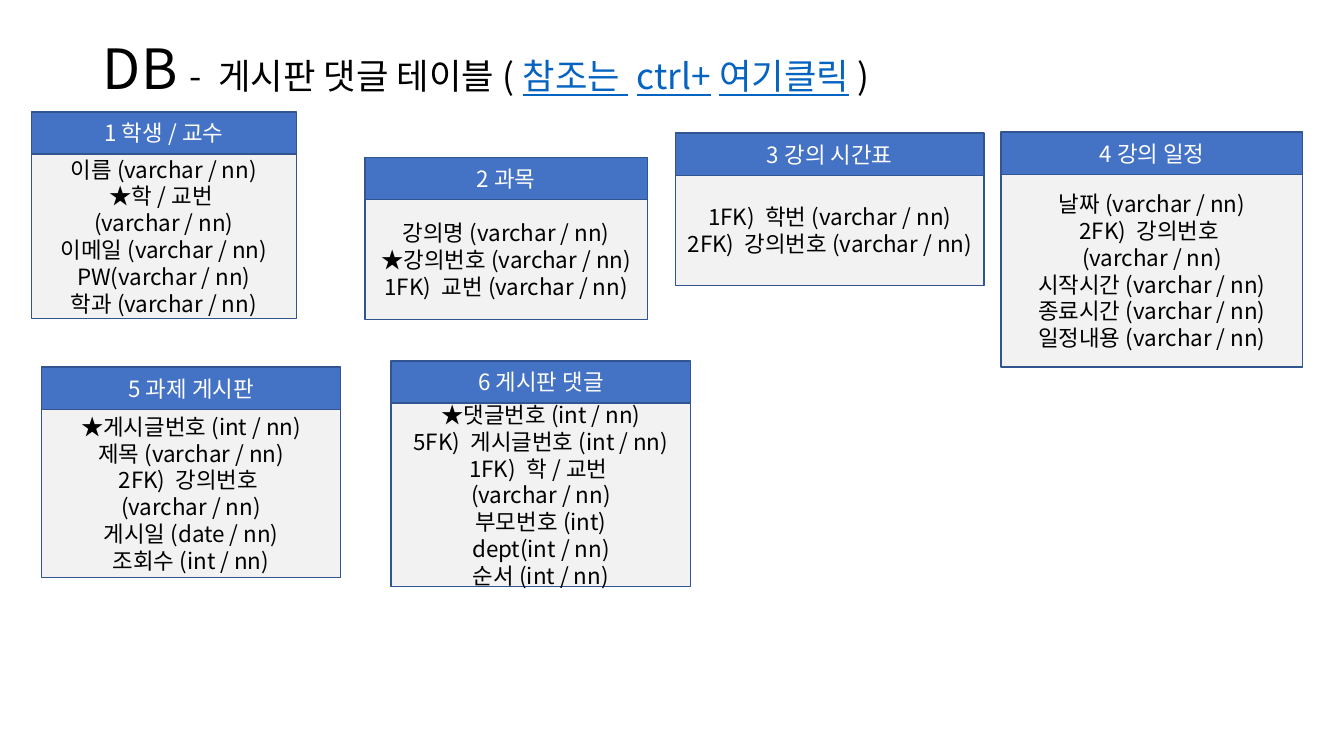
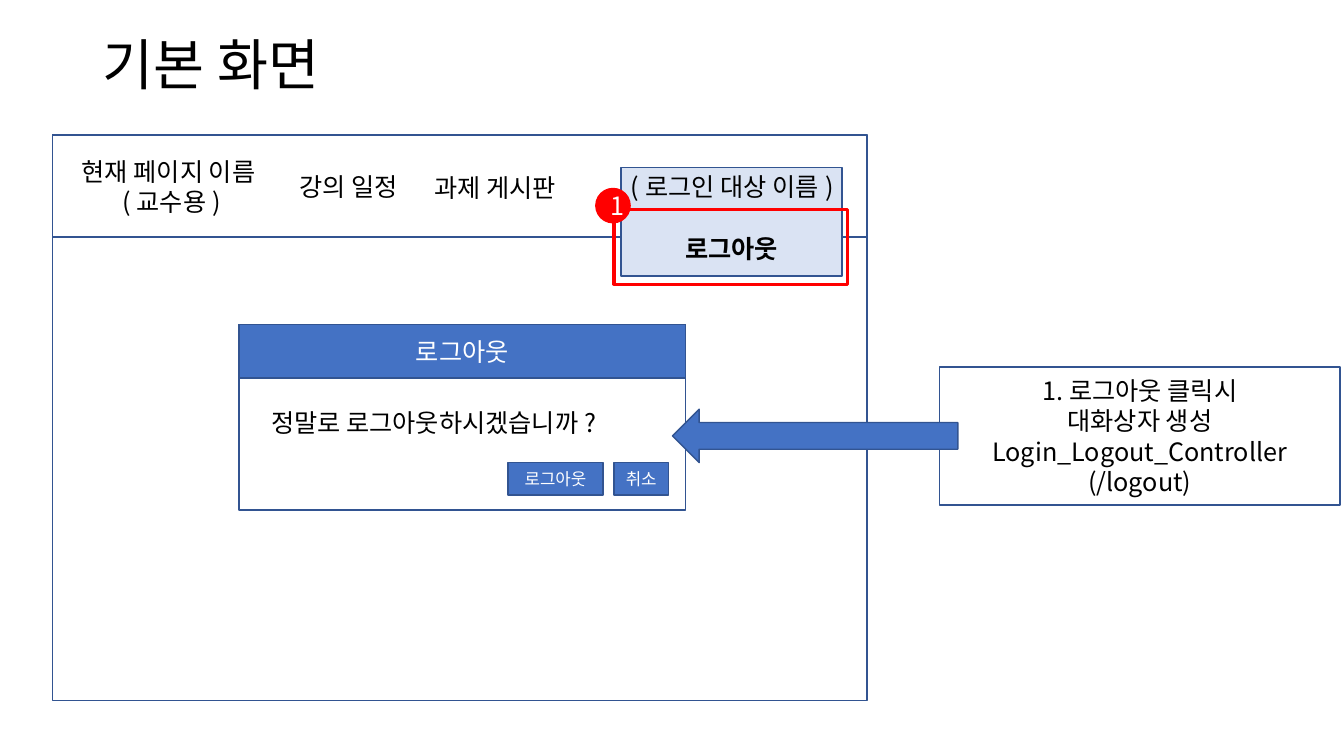
from pptx import Presentation
from pptx.dml.color import RGBColor
from pptx.enum.shapes import MSO_SHAPE
from pptx.enum.text import MSO_ANCHOR, MSO_AUTO_SIZE, PP_ALIGN
from pptx.oxml.ns import qn
from pptx.util import Inches, Pt
from lxml import etree

RECT, OVAL, ARROW = MSO_SHAPE.RECTANGLE, MSO_SHAPE.OVAL, MSO_SHAPE.LEFT_ARROW
TOP, MID, LOW = MSO_ANCHOR.TOP, MSO_ANCHOR.MIDDLE, MSO_ANCHOR.BOTTOM
LEFT, MIDST = PP_ALIGN.LEFT, PP_ALIGN.CENTER
FONT = "Noto Sans CJK KR"
HUE = dict(ink="000000", white="FFFFFF", blue="4472C4", edge="325491",
           gray="F2F2F2", pale="DAE3F3", red="FF0000", link="0563C1")
HEAD = 0.42
BIG, SUB = 39.6, 25.2

DB_TITLE = [("DB ", {}), ("- 게시판 댓글 테이블(", dict(size=SUB)),
            ("참조는 ctrl+여기클릭", dict(size=SUB, color="link", under=True)),
            (")", dict(size=SUB))]
# heading, (left, top, width, height), columns
TABLES = [
    ("1학생/교수", (0.31, 1.11, 2.63, 2.05),
     ["이름(varchar / nn)", "★학/교번(varchar / nn)", "이메일(varchar / nn)",
      "PW(varchar / nn)", "학과(varchar / nn)"]),
    ("2과목", (3.62, 1.56, 2.8, 1.61),
     ["강의명(varchar / nn)", "★강의번호(varchar / nn)",
      "1FK) 교번(varchar / nn)"]),
    ("3강의 시간표", (6.7, 1.32, 3.06, 1.51),
     ["1FK) 학번(varchar / nn)", "2FK) 강의번호(varchar / nn)"]),
    ("4강의 일정", (9.93, 1.31, 2.99, 2.33),
     ["날짜(varchar / nn)", "2FK) 강의번호(varchar / nn)",
      "시작시간(varchar / nn)", "종료시간(varchar / nn)",
      "일정내용(varchar / nn)"]),
    ("5과제 게시판", (0.41, 3.64, 2.97, 2.09),
     ["★게시글번호(int / nn)", "제목(varchar / nn)",
      "2FK) 강의번호(varchar / nn)", "게시일(date / nn)", "조회수(int / nn)"]),
    ("6게시판 댓글", (3.88, 3.58, 2.97, 2.24),
     ["★댓글번호(int / nn)", "5FK) 게시글번호(int / nn)",
      "1FK) 학/교번(varchar / nn)", "부모번호(int)", "dept(int / nn)",
      "순서(int / nn)"]),
]

PAGE = (0.52, 1.34, 8.08, 5.61)
BAR = PAGE[:3] + (1.01,)
MENU = [("현재 페이지 이름(교수용)", (0.59, 1.5, 2.22, 0.71), MIDST),
        ("강의 일정", (2.87, 1.65, 1.34, 0.4), LEFT),
        ("과제 게시판", (4.21, 1.66, 1.66, 0.4), LEFT)]
USER = ("(로그인 대상 이름)", (6.16, 1.65, 2.32, 0.4))
DROP = ("로그아웃", (6.16, 1.66, 2.19, 1.08))
MARK = (6.09, 2.08, 2.32, 0.74)
BADGE = ("1", (5.91, 1.87, 0.34, 0.34))
DIALOG = (2.37, 3.22, 4.43, 1.84)
ASK = ("정말로 로그아웃하시겠습니까?", (2.59, 3.99, 4.02, 0.4))
BUTTONS = [("취소", (6.09, 4.59, 0.54, 0.32)),
           ("로그아웃", (5.04, 4.59, 0.94, 0.32))]
NOTE = (["1.로그아웃 클릭시", "대화상자 생성", "Login_Logout_Controller",
         "(/logout)"], (9.32, 3.64, 3.97, 1.37))
POINTER = (6.67, 4.06, 2.83, 0.53)


def rgb(name):
    return RGBColor.from_string(HUE[name])


def write(frame, text, size=18, color="ink", bold=False, align=MIDST,
          anchor=MID, space=None):
    """Fill a frame: text is one line, or lines, each a string or a run list."""
    frame.word_wrap = True
    frame.vertical_anchor = anchor
    lines = [text] if isinstance(text, str) else text
    for i, line in enumerate(lines):
        par = frame.add_paragraph() if i else frame.paragraphs[0]
        par.alignment = align
        if space:
            par.line_spacing = space
        for words, look in [(line, {})] if isinstance(line, str) else line:
            run = par.add_run()
            run.text = words
            font = run.font
            font.name, font.bold = FONT, bold
            font.size = Pt(look.get("size", size))
            font.color.rgb = rgb(look.get("color", color))
            font.underline = look.get("under", False)
            east = etree.Element(qn("a:ea"), typeface=FONT)
            font._element.find(qn("a:latin")).addnext(east)


def shape(slide, box, fill=None, kind=RECT, edge="edge", width=1, text=None,
          **look):
    item = slide.shapes.add_shape(kind, *map(Inches, box))
    item.shadow.inherit = False
    if fill:
        item.fill.solid()
        item.fill.fore_color.rgb = rgb(fill)
    else:
        item.fill.background()
    item.line.color.rgb = rgb(edge)
    item.line.width = Pt(width)
    if text:
        write(item.text_frame, text, **look)
    return item


def label(slide, text, box, align=LEFT):
    item = slide.shapes.add_textbox(*map(Inches, box))
    write(item.text_frame, text, align=align, anchor=TOP)


def start(deck, title, high):
    """Add a title-only slide with its title placed and formatted."""
    slide = deck.slides.add_slide(deck.slide_layouts[5])
    head = slide.shapes.title
    head.left, head.top, head.width, head.height = map(
        Inches, (0.92, 0.4, 11.5, high))
    head.text_frame.auto_size = MSO_AUTO_SIZE.NONE
    write(head.text_frame, [title], size=BIG, align=LEFT, space=0.9)
    return slide


def schema(deck):
    slide = start(deck, DB_TITLE, 0.62)
    hard = chr(160)  # keeps each type on one line
    for name, (x, y, w, h), cols in TABLES:
        rows = [c.replace(" / ", f"{hard}/{hard}") for c in cols]
        shape(slide, (x, y + HEAD, w, h - HEAD), "gray", text=rows, size=16)
        shape(slide, (x, y, w, HEAD), "blue", text=name, size=16,
              color="white")


def screen(deck):
    slide = start(deck, "기본 화면", 0.54)
    shape(slide, PAGE, "white")
    shape(slide, BAR)
    for text, box, align in MENU:
        label(slide, text, box, align)
    text, box = DROP
    drop = shape(slide, box, "pale", text=text, bold=True, anchor=LOW)
    drop.text_frame.margin_bottom = Inches(0.13)
    label(slide, *USER)
    shape(slide, MARK, edge="red", width=2.25)
    text, box = BADGE
    shape(slide, box, "red", OVAL, edge="red", text=text, color="white")
    shape(slide, DIALOG, "white")
    for text, box in BUTTONS:
        shape(slide, box, "blue", text=text, size=12, color="white")
    label(slide, *ASK)
    text, box = NOTE
    shape(slide, box, "white", text=text)
    shape(slide, POINTER, "blue", ARROW)
    shape(slide, DIALOG[:3] + (0.53,), "blue", text="로그아웃", color="white")


def main():
    deck = Presentation()
    deck.slide_width, deck.slide_height = Inches(13.33), Inches(7.5)
    schema(deck)
    screen(deck)
    deck.save("out.pptx")


if __name__ == "__main__":
    main()
